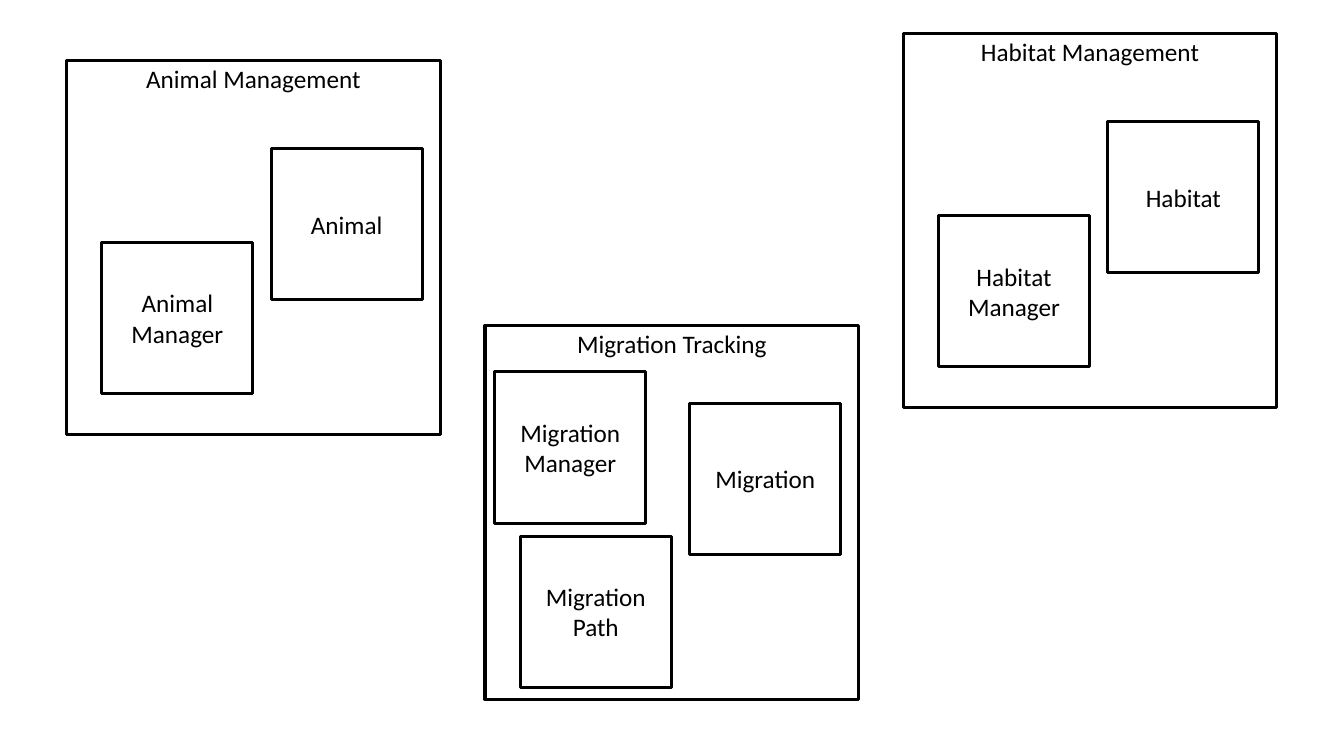
from pptx import Presentation
from pptx.dml.color import RGBColor
from pptx.enum import shapes, text
from pptx.util import Pt

INK = "000000"
CONTEXT_SIZE = 267
ENTITY_SIZE = 108

# Each context: title, left, top, and its entities as (name, dx, dy)
CONTEXTS = [
    ("Animal Management", 47.5, 43.2,
     [("Animal", 146.2, 63), ("Animal Manager", 25.2, 130)]),
    ("Habitat Management", 645.1, 24,
     [("Habitat", 146.2, 63), ("Habitat Manager", 25.2, 130)]),
    ("Migration Tracking", 346.4, 232.5,
     [("Migration", 146.2, 55.5), ("Migration Manager", 7, 33.2),
      ("Migration Path", 25.2, 150.5)]),
]


def color(hex_string):
    return RGBColor.from_string(hex_string)


def add_square(slide, label, left, top, size, anchor):
    """Draw an outlined square with a centred label."""
    square = slide.shapes.add_shape(
        shapes.MSO_SHAPE.RECTANGLE, Pt(left), Pt(top), Pt(size), Pt(size))
    square.shadow.inherit = False
    square.fill.background()
    square.line.color.rgb = color(INK)
    square.line.width = Pt(2.25)

    frame = square.text_frame
    frame.text = label
    frame.word_wrap = True
    frame.vertical_anchor = anchor
    frame.margin_top = frame.margin_bottom = Pt(2)
    paragraph = frame.paragraphs[0]
    paragraph.alignment = text.PP_ALIGN.CENTER
    font = paragraph.runs[0].font
    font.name = "Calibri"
    font.size = Pt(18)
    font.color.rgb = color(INK)


def add_context(slide, title, left, top, entities):
    """Draw a context with its title on top and its entities inside."""
    add_square(slide, title, left, top, CONTEXT_SIZE, text.MSO_ANCHOR.TOP)
    for name, dx, dy in entities:
        add_square(slide, name, left + dx, top + dy, ENTITY_SIZE,
                   text.MSO_ANCHOR.MIDDLE)


def main():
    deck = Presentation()
    deck.slide_width, deck.slide_height = Pt(960), Pt(540)
    slide = deck.slides.add_slide(deck.slide_layouts[6])
    for context in CONTEXTS:
        add_context(slide, *context)
    deck.save("out.pptx")


if __name__ == "__main__":
    main()
